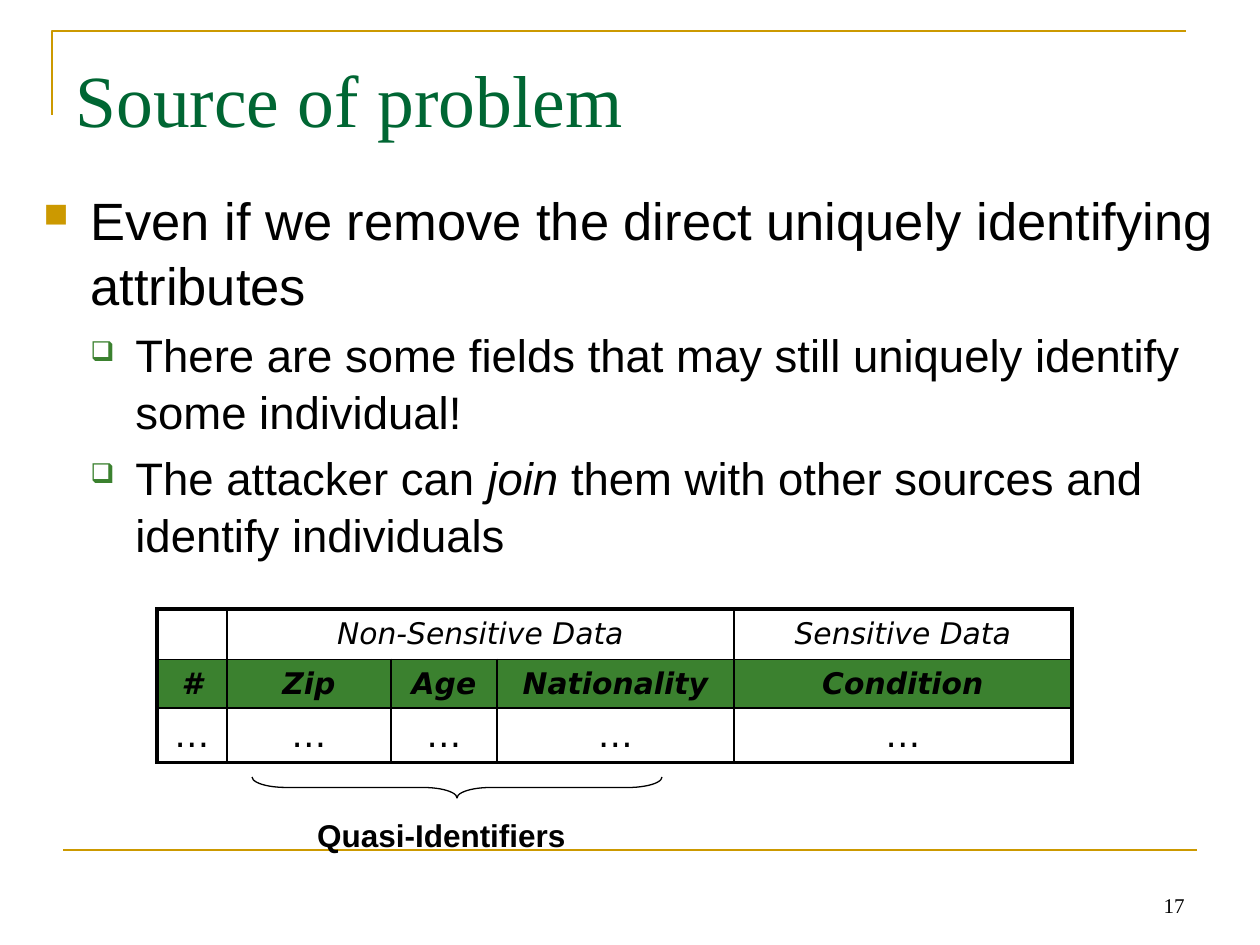
from dataclasses import dataclass

import pptx
import pptx.util
import pptx.dml.color
import pptx.enum.shapes
import pptx.enum.text
import pptx.oxml
import pptx.oxml.ns

PX = pptx.util.Inches(1) / 126
ALIGN = pptx.enum.text.PP_ALIGN
ANCHOR = pptx.enum.text.MSO_ANCHOR


@dataclass(frozen=True)
class Theme:
    ink: str = "000000"
    title: str = "006633"
    gold: str = "CC9900"
    green: str = "3B812F"
    serif: str = "Times New Roman"
    sans: str = "Arial"
    table_font: str = "DejaVu Sans"
    title_size: int = 42
    body_sizes: tuple = (30, 26)
    head_size: int = 17
    cell_size: int = 20
    label_size: int = 18
    number_size: int = 12


def px(length):
    return pptx.util.Emu(round(length * PX))


def rgb(value):
    return pptx.dml.color.RGBColor.from_string(value)


def add_xml(parent, tag, **attributes):
    element = pptx.oxml.ns.qn(tag)
    child = parent.makeelement(element, attributes)
    parent.append(child)
    return child


class SlideBuilder:
    def __init__(self, slide, theme):
        self.slide = slide
        self.theme = theme

    def span(self, para, text, size, font, color=None, bold=False, italic=False):
        span = para.add_run()
        span.text = text
        span.font.size = pptx.util.Pt(size)
        span.font.name = font
        span.font.bold = bold
        span.font.italic = italic
        span.font.color.rgb = rgb(color or self.theme.ink)

    def outline(self, shape, color, width):
        shape.line.color.rgb = rgb(color)
        shape.line.width = pptx.util.Pt(width)

    def title(self, text, left, top, width, height):
        box = self.slide.shapes.title
        box.left, box.top, box.width, box.height = map(px, (left, top, width, height))
        frame = box.text_frame
        frame.auto_size = pptx.enum.text.MSO_AUTO_SIZE.NONE
        frame.vertical_anchor = ANCHOR.TOP
        frame.margin_top = px(16)
        para = frame.paragraphs[0]
        para.alignment = ALIGN.LEFT
        self.span(para, text, self.theme.title_size, self.theme.serif, self.theme.title)

    def textbox(self, left, top, width, height, anchor=ANCHOR.TOP):
        box = self.slide.shapes.add_textbox(*map(px, (left, top, width, height)))
        box.text_frame.word_wrap = True
        box.text_frame.vertical_anchor = anchor
        return box.text_frame

    def label(self, text, area, size, font, align, anchor=ANCHOR.TOP, bold=False):
        para = self.textbox(*area, anchor).paragraphs[0]
        para.alignment = align
        self.span(para, text, size, font, bold=bold)

    def bullets(self, items, area):
        # Per level: character, colour, size in percent, text indent, hanging indent
        styles = (("■", self.theme.gold, 65, 47, 47),
                  ("❑", self.theme.green, 60, 92, 45))
        frame = self.textbox(*area)
        for index, (level, spans) in enumerate(items):
            para = frame.add_paragraph() if index else frame.paragraphs[0]
            char, color, percent, indent, hanging = styles[level]
            size = self.theme.body_sizes[level]
            para.level = level
            props = para._p.get_or_add_pPr()
            props.set("marL", str(px(indent)))
            props.set("indent", str(px(-hanging)))
            add_xml(add_xml(props, "a:buClr"), "a:srgbClr", val=color)
            add_xml(props, "a:buSzPct", val=str(percent * 1000))
            add_xml(props, "a:buChar", char=char)
            para.line_spacing = 1.04
            if index:
                para.space_before = pptx.util.Pt(size * 0.2)
            for text, italic in spans:
                self.span(para, text, size, self.theme.sans, italic=italic)

    def border(self, cell, side, width):
        line = add_xml(cell._tc.get_or_add_tcPr(), f"a:ln{side}",
                       w=str(pptx.util.Pt(width)))
        add_xml(add_xml(line, "a:solidFill"), "a:srgbClr", val=self.theme.ink)

    def table(self, rows, left, top, widths, heights):
        frame = self.slide.shapes.add_table(
            len(heights), len(widths), *map(px, (left, top, sum(widths), sum(heights))))
        table = frame.table
        table.first_row = table.horz_banding = False
        for column, width in zip(table.columns, widths):
            column.width = px(width)
        for row, height in zip(table.rows, heights):
            row.height = px(height)

        # Row styles: size, bold, italic, fill
        styles = ((self.theme.head_size, False, True, None),
                  (self.theme.head_size, True, True, self.theme.green),
                  (self.theme.cell_size, False, False, None))
        last_row, last_column = len(heights) - 1, len(widths) - 1
        for r, (texts, (size, bold, italic, fill)) in enumerate(zip(rows, styles)):
            for c, text in enumerate(texts):
                cell = table.cell(r, c)
                outer = {"L": c == 0, "R": c == last_column,
                         "T": r == 0, "B": r == last_row}
                for side, is_outer in outer.items():
                    self.border(cell, side, 2.25 if is_outer else 1)
                if fill:
                    cell.fill.solid()
                    cell.fill.fore_color.rgb = rgb(fill)
                else:
                    cell.fill.background()
                cell.vertical_anchor = ANCHOR.MIDDLE
                if text:
                    para = cell.text_frame.paragraphs[0]
                    para.alignment = ALIGN.CENTER
                    self.span(para, text, size, self.theme.table_font,
                              bold=bold, italic=italic)
        return table

    def corner(self, points):
        builder = self.slide.shapes.build_freeform(*points[0], scale=PX)
        builder.add_line_segments(points[1:], close=False)
        shape = builder.convert_to_shape()
        shape.shadow.inherit = False
        shape.fill.background()
        self.outline(shape, self.theme.gold, 1.5)

    def rule(self, left, right, y):
        line = self.slide.shapes.add_connector(
            pptx.enum.shapes.MSO_CONNECTOR.STRAIGHT, *map(px, (left, y, right, y)))
        self.outline(line, self.theme.gold, 1.5)
        add_xml(line._element.spPr, "a:effectLst")

    def brace_below(self, left, top, width, height):
        # The preset is upright, so it is centred on the area and then turned
        area = (left + (width - height) / 2, top + (height - width) / 2, height, width)
        brace = self.slide.shapes.add_shape(
            pptx.enum.shapes.MSO_SHAPE.RIGHT_BRACE, *map(px, area))
        brace.rotation = 90
        brace.adjustments[0] = 1.625
        brace.adjustments[1] = 0.5
        brace.shadow.inherit = False
        brace.fill.background()
        self.outline(brace, self.theme.ink, 0.75)


def main():
    deck = pptx.Presentation()
    deck.slide_width, deck.slide_height = px(1260), px(945)
    theme = Theme()
    page = SlideBuilder(deck.slides.add_slide(deck.slide_layouts[5]), theme)

    # Frame lines
    page.corner([(52, 115), (52, 31), (1186, 31)])
    page.rule(63, 1197, 850)

    # Title and bullets
    page.title("Source of problem", 63, 38, 1134, 157)
    page.bullets([
        (0, [("Even if we remove the direct uniquely identifying attributes", False)]),
        (1, [("There are some fields that may still uniquely identify some individual!",
              False)]),
        (1, [("The attacker can ", False), ("join ", True),
             ("them with other sources and identify individuals", False)]),
    ], (31, 179, 1197, 609))

    # Attribute table
    table = page.table([
        ["", "Non-Sensitive Data", "", "", "Sensitive Data"],
        ["#", "Zip", "Age", "Nationality", "Condition"],
        ["…"] * 5,
    ], 157, 609, (70, 164, 106, 237, 338), (47, 47, 54))
    table.cell(0, 1).merge(table.cell(0, 3))

    # Brace and its label
    page.brace_below(252, 777, 410, 21)
    page.label("Quasi-Identifiers", (242, 810, 399, 50), theme.label_size,
               theme.sans, ALIGN.CENTER, bold=True)

    # Slide number
    page.label("17", (903, 861, 294, 63), theme.number_size,
               theme.serif, ALIGN.RIGHT, ANCHOR.BOTTOM)

    deck.save("out.pptx")


if __name__ == "__main__":
    main()
